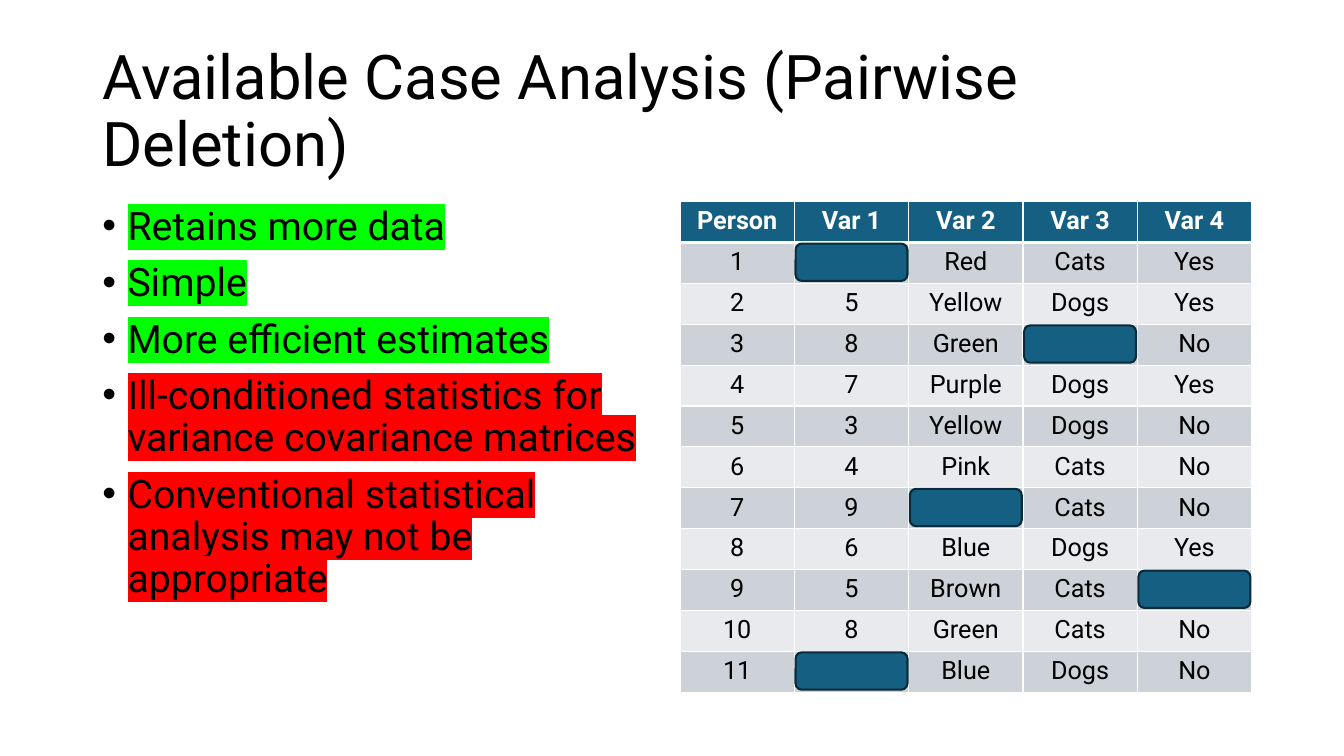
from dataclasses import dataclass

from lxml.etree import SubElement as add_child
from pptx import Presentation
from pptx.dml.color import RGBColor
from pptx.enum.shapes import MSO_SHAPE as Shape
from pptx.enum.text import MSO_ANCHOR as Anchor, PP_ALIGN as Align
from pptx.oxml.ns import qn
from pptx.util import Cm, Pt

COLORS = {
    "text": "000000",
    "white": "FFFFFF",
    "header": "156082",
    "odd_row": "CCD2D8",
    "even_row": "E8EAED",
    "cover_line": "092A39",
    "advantage": "00FF00",
    "drawback": "FF0000",
}
FONT = "Roboto"
MISSING = "."

# Table geometry in centimetres
TABLE_LEFT, TABLE_TOP = 17.14, 5.08
COLUMN_WIDTH, ROW_HEIGHT = 2.88, 1.03
COVER_WIDTH, COVER_HEIGHT = 2.82, 0.94
COVER_SHIFT = 0.03

RECORDS = [
    ("Person", "Var 1", "Var 2", "Var 3", "Var 4"),
    ("1", MISSING, "Red", "Cats", "Yes"),
    ("2", "5", "Yellow", "Dogs", "Yes"),
    ("3", "8", "Green", MISSING, "No"),
    ("4", "7", "Purple", "Dogs", "Yes"),
    ("5", "3", "Yellow", "Dogs", "No"),
    ("6", "4", "Pink", "Cats", "No"),
    ("7", "9", MISSING, "Cats", "No"),
    ("8", "6", "Blue", "Dogs", "Yes"),
    ("9", "5", "Brown", "Cats", MISSING),
    ("10", "8", "Green", "Cats", "No"),
    ("11", MISSING, "Blue", "Dogs", "No"),
]


@dataclass
class Point:
    text: str
    highlight: str


POINTS = [
    Point("Retains more data", "advantage"),
    Point("Simple", "advantage"),
    Point("More efficient estimates", "advantage"),
    Point("Ill-conditioned statistics for variance covariance matrices", "drawback"),
    Point("Conventional statistical analysis may not be appropriate", "drawback"),
]


def color(name: str) -> RGBColor:
    return RGBColor.from_string(COLORS[name])


def apply_format(target, values: dict) -> None:
    for name, value in values.items():
        setattr(target, name, value)


def add_span(para, text: str, size: int, color_name: str = "text", bold: bool = False):
    span = para.add_run()
    span.text = text
    apply_format(span.font, {"name": FONT, "size": Pt(size), "bold": bold})
    span.font.color.rgb = color(color_name)
    return span


def add_text_frame(page, left: float, top: float, width: float, height: float, anchor):
    box = page.shapes.add_textbox(Cm(left), Cm(top), Cm(width), Cm(height))
    apply_format(box.text_frame, {"word_wrap": True, "vertical_anchor": anchor})
    return box.text_frame


def highlight_span(span, color_name: str) -> None:
    properties = span.font._element
    mark = add_child(properties, qn("a:highlight"))
    add_child(mark, qn("a:srgbClr"), val=COLORS[color_name])
    properties.find(qn("a:solidFill")).addnext(mark)


def add_bullet(para) -> None:
    properties = para._p.get_or_add_pPr()
    indent = Cm(0.635)
    properties.set("marL", str(indent))
    properties.set("indent", str(-indent))
    add_child(properties, qn("a:buFont"), typeface="Arial")
    add_child(properties, qn("a:buChar"), char="•")


def add_borders(cell, row: int) -> None:
    properties = cell._tc.get_or_add_tcPr()
    widths = {"L": 1, "R": 1, "T": 3 if row == 1 else 1, "B": 3 if row == 0 else 1}
    for side, width in widths.items():
        line = add_child(properties, qn(f"a:ln{side}"), w=str(Pt(width)))
        fill = add_child(line, qn("a:solidFill"))
        add_child(fill, qn("a:srgbClr"), val=COLORS["white"])


def fill_cell(cell, text: str, row: int) -> None:
    is_header = row == 0
    fill_name = "header" if is_header else "odd_row" if row % 2 else "even_row"
    add_borders(cell, row)
    cell.fill.solid()
    cell.fill.fore_color.rgb = color(fill_name)
    para = cell.text_frame.paragraphs[0]
    para.alignment = Align.CENTER
    add_span(para, text, 18, "white" if is_header else "text", is_header)


def add_cover(page, row: int, column: int) -> None:
    cover = page.shapes.add_shape(
        Shape.ROUNDED_RECTANGLE,
        Cm(TABLE_LEFT + column * COLUMN_WIDTH + COVER_SHIFT),
        Cm(TABLE_TOP + row * ROW_HEIGHT + COVER_SHIFT),
        Cm(COVER_WIDTH),
        Cm(COVER_HEIGHT),
    )
    cover.shadow.inherit = False
    cover.fill.solid()
    cover.fill.fore_color.rgb = color("header")
    cover.line.color.rgb = color("cover_line")
    cover.line.width = Pt(1.5)


def add_title(page) -> None:
    frame = add_text_frame(page, 2.33, 1.01, 29.21, 3.68, Anchor.MIDDLE)
    para = frame.paragraphs[0]
    para.line_spacing = 0.9
    add_span(para, "Available Case Analysis (Pairwise Deletion)", 44)


def add_points(page) -> None:
    frame = add_text_frame(page, 2.33, 5.08, 14.4, 12.09, Anchor.TOP)
    for index, point in enumerate(POINTS):
        para = frame.add_paragraph() if index else frame.paragraphs[0]
        apply_format(para, {"line_spacing": 0.9, "space_before": Pt(10)})
        add_bullet(para)
        highlight_span(add_span(para, point.text, 28), point.highlight)


def add_records(page) -> None:
    row_count, column_count = len(RECORDS), len(RECORDS[0])
    table = page.shapes.add_table(
        row_count,
        column_count,
        Cm(TABLE_LEFT),
        Cm(TABLE_TOP),
        Cm(column_count * COLUMN_WIDTH),
        Cm(row_count * ROW_HEIGHT),
    ).table
    table.horz_banding = False
    for column in table.columns:
        column.width = Cm(COLUMN_WIDTH)
    for row, record in enumerate(RECORDS):
        table.rows[row].height = Cm(ROW_HEIGHT)
        for column, text in enumerate(record):
            fill_cell(table.cell(row, column), text, row)
            # Cover each missing value
            if text == MISSING:
                add_cover(page, row, column)


def main() -> None:
    deck = Presentation()
    apply_format(deck, {"slide_width": Cm(33.87), "slide_height": Cm(19.05)})
    page = deck.slides.add_slide(deck.slide_layouts[6])
    add_title(page)
    add_points(page)
    add_records(page)
    deck.save("out.pptx")


if __name__ == "__main__":
    main()
